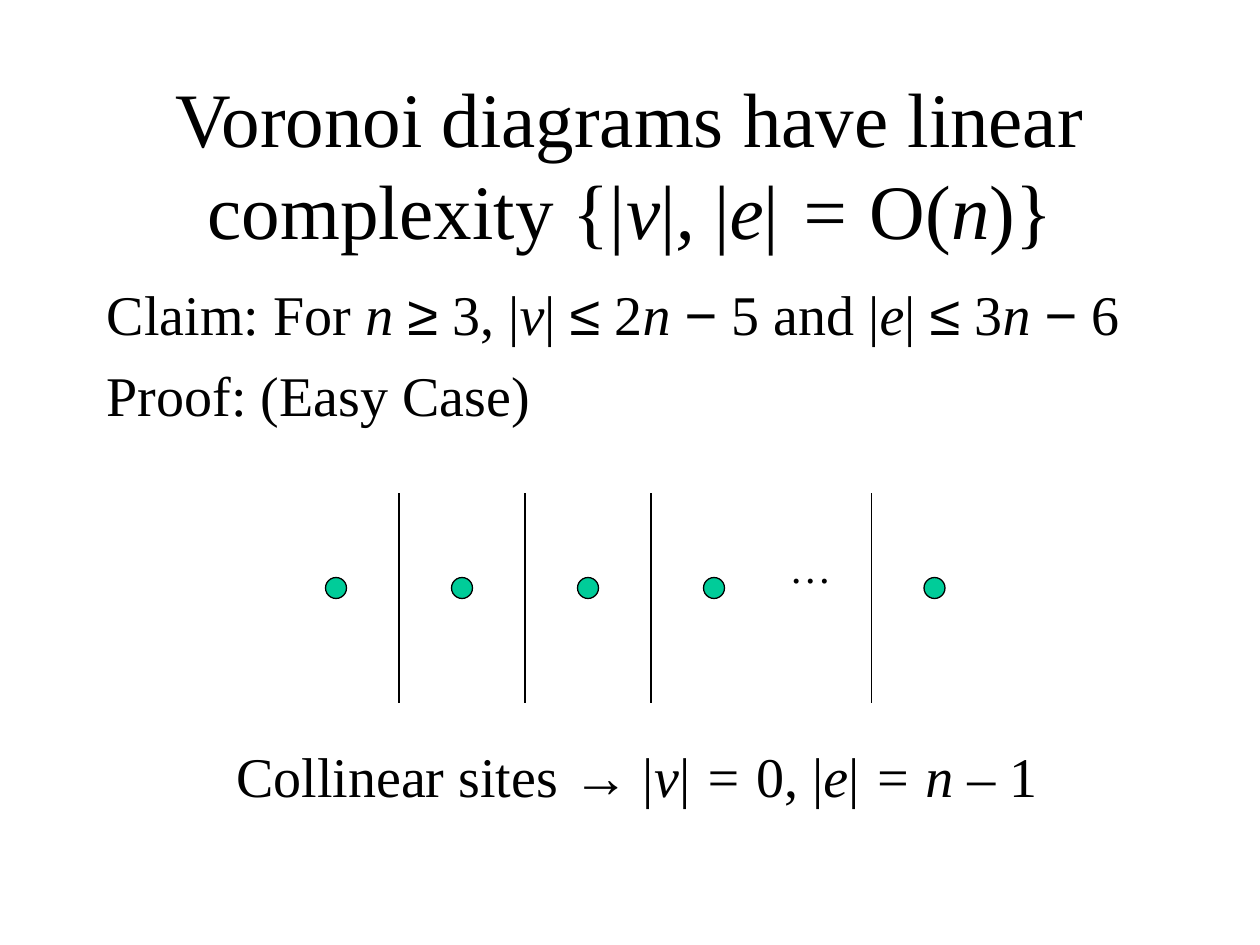
from itertools import groupby

from lxml.etree import SubElement
from pptx import Presentation
from pptx.dml.color import RGBColor
from pptx.enum.shapes import MSO_CONNECTOR, MSO_SHAPE
from pptx.enum.text import MSO_ANCHOR, MSO_AUTO_SIZE, PP_ALIGN
from pptx.oxml.ns import qn
from pptx.util import Pt

TITLE = "Voronoi diagrams have linear complexity {|*v*|*, *|*e*|* = *O(*n*)}"
CLAIM = [
    "Claim: For *n *≥ 3, |*v*| ≤ 2*n *− 5 and |*e*| ≤ 3*n *− 6",
    "Proof: (Easy Case)",
]
ELLIPSIS = "…"
CONCLUSION = "Collinear sites → |*v*|* = *0, |*e*|* = n – *1"
SYMBOLS = "≥≤−→"
BLACK, GREEN = "000000", "00CC99"
SITES = [192, 264, 336, 408, 534]
SITE_Y, SITE_SIZE = 336, 12
EDGE_TOP, EDGE_BOTTOM, EDGE_GAP = 282, 402, 36


def color(value):
    """Turn a hex string into a colour."""
    return RGBColor.from_string(value)


def write(paragraph, marked, size):
    """Write text whose starred parts are italic and whose symbols are Arial."""
    for index, part in enumerate(marked.split("*")):
        for is_symbol, letters in groupby(part, lambda letter: letter in SYMBOLS):
            run = paragraph.add_run()
            run.text = "".join(letters)
            run.font.name = "Arial" if is_symbol else "Times New Roman"
            run.font.size = Pt(size)
            run.font.italic = index % 2 == 1
            run.font.color.rgb = color(BLACK)


def add_text(slide, box, lines, size, before=0, wrap=True):
    """Add a text box with one paragraph per line."""
    frame = slide.shapes.add_textbox(*map(Pt, box)).text_frame
    frame.word_wrap = wrap
    for index, line in enumerate(lines):
        paragraph = frame.add_paragraph() if index else frame.paragraphs[0]
        paragraph.space_before = Pt(before)
        write(paragraph, line, size)


def outline(shape):
    """Give a shape or connector the thin black line."""
    shape.line.color.rgb = color(BLACK)
    shape.line.width = Pt(0.74)


def add_site(slide, x):
    """Draw a site centred at x."""
    corner = Pt(x - SITE_SIZE / 2), Pt(SITE_Y - SITE_SIZE / 2)
    site = slide.shapes.add_shape(MSO_SHAPE.OVAL, *corner, Pt(SITE_SIZE), Pt(SITE_SIZE))
    site.shadow.inherit = False
    site.fill.solid()
    site.fill.fore_color.rgb = color(GREEN)
    outline(site)


def add_edge(slide, x):
    """Draw a vertical Voronoi edge at x."""
    edge = slide.shapes.add_connector(
        MSO_CONNECTOR.STRAIGHT, Pt(x), Pt(EDGE_TOP), Pt(x), Pt(EDGE_BOTTOM))
    outline(edge)
    SubElement(edge._element.spPr, qn("a:effectLst"))


def build():
    """Build and save the slide."""
    deck = Presentation()
    deck.slide_width, deck.slide_height = Pt(720), Pt(540)
    slide = deck.slides.add_slide(deck.slide_layouts[5])
    title = slide.shapes.title
    title.left, title.top, title.width, title.height = map(Pt, (54, 48, 612, 90))
    title.text_frame.vertical_anchor = MSO_ANCHOR.MIDDLE
    title.text_frame.auto_size = MSO_AUTO_SIZE.NONE
    heading = title.text_frame.paragraphs[0]
    heading.alignment = PP_ALIGN.CENTER
    write(heading, TITLE, 44)

    add_text(slide, (54, 156, 612, 324), CLAIM, 32, before=8)
    for x in SITES:
        add_site(slide, x)
    for x in SITES[1:]:
        add_edge(slide, x - EDGE_GAP)
    add_text(slide, (444, 306, 38, 36), [ELLIPSIS], 24, wrap=False)
    add_text(slide, (128, 420, 494, 46), [CONCLUSION], 32)
    deck.save("out.pptx")


build()
